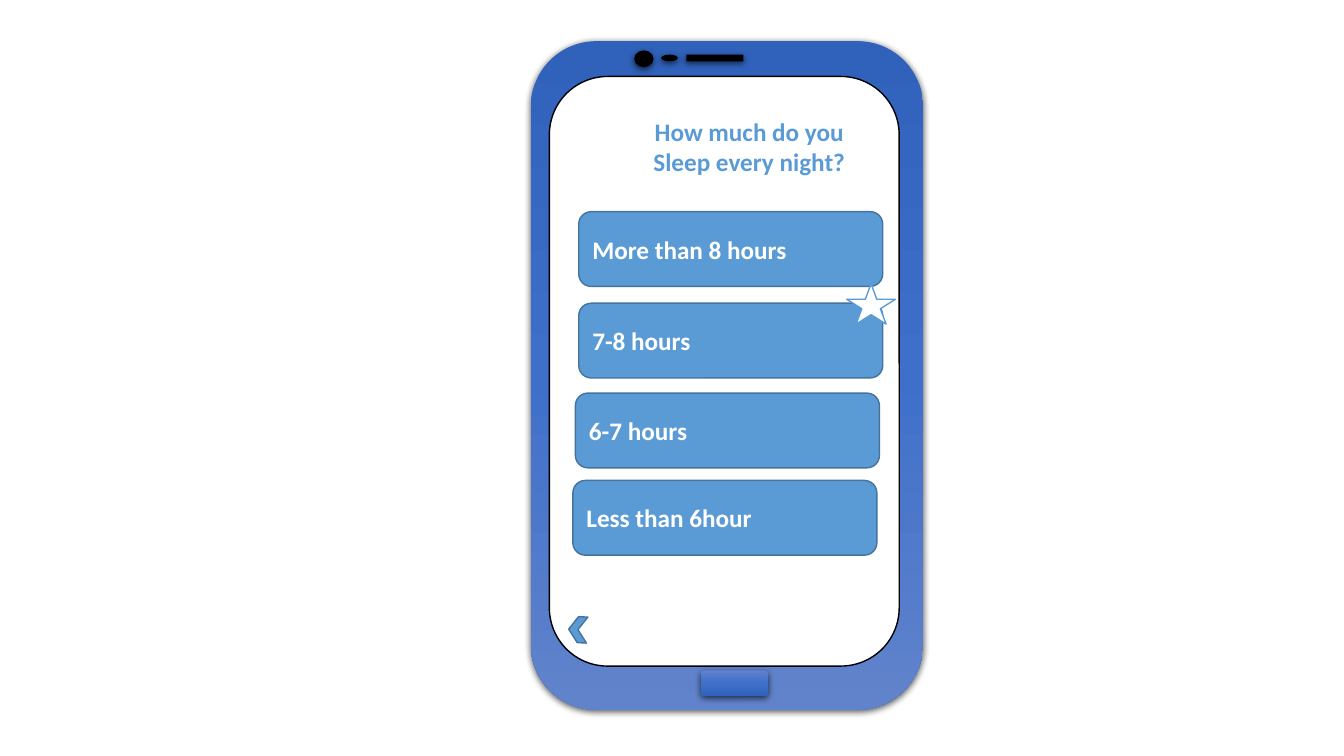
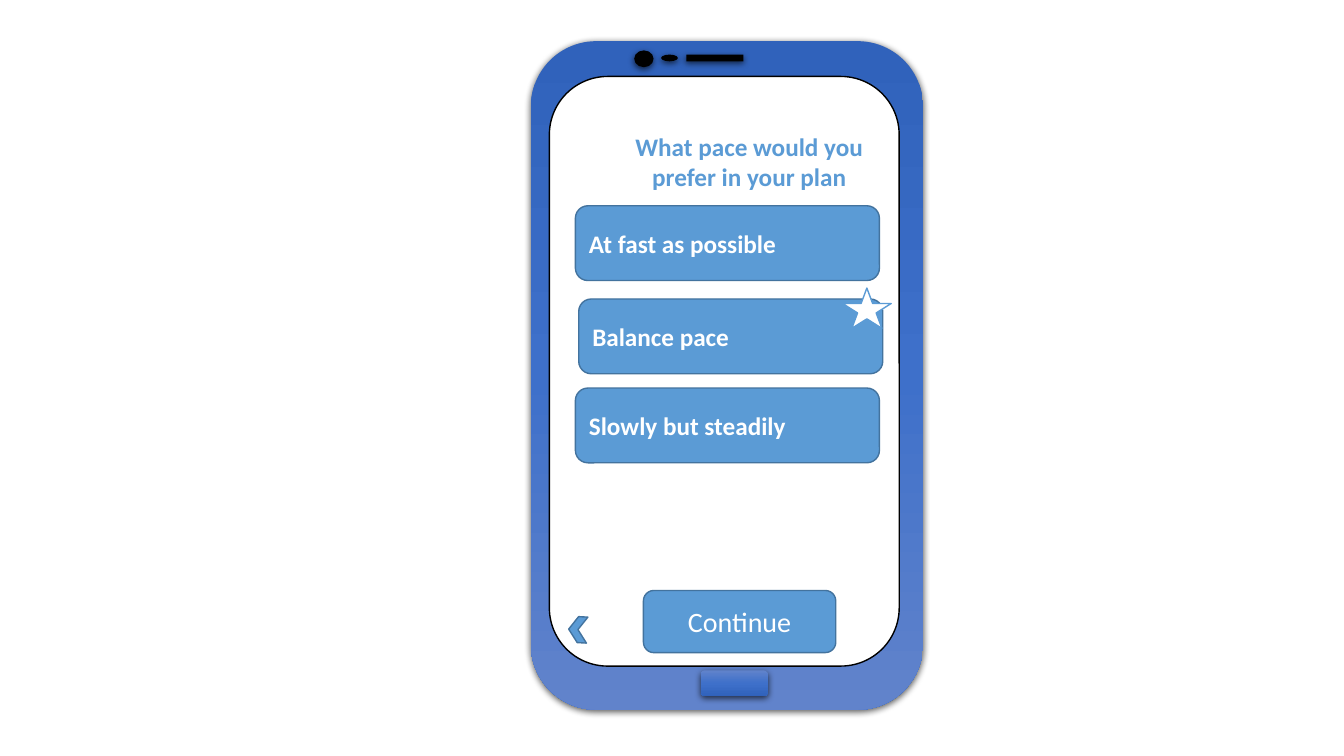
import copy

import pptx
import pptx.dml.color
import pptx.enum.shapes
import pptx.enum.text
import pptx.oxml
import pptx.oxml.ns
import pptx.util

SHAPE = pptx.enum.shapes.MSO_SHAPE
ALIGN = pptx.enum.text.PP_ALIGN
COLORS = {
    "blue": "5B9BD5",
    "edge": "43739E",
    "white": "FFFFFF",
    "black": "000000",
    "case_light": "6183CB",
    "case_mid": "3E70CA",
    "case_dark": "3062BB",
}
CASE = ("case_light", "case_mid", "case_dark")
COLUMNS, ROWS = 160, 90
TITLE_ONLY = 5
OPTION_SIZE = (36.2, 8.9)
STAR_SIZE = (5.8, 4.8)
TITLE_HEIGHT = 8
FRAME_FORMAT = {
    "word_wrap": True,
    "auto_size": pptx.enum.text.MSO_AUTO_SIZE.NONE,
    "vertical_anchor": pptx.enum.text.MSO_ANCHOR.MIDDLE,
}
NO_MARGINS = dict.fromkeys(
    ("margin_left", "margin_right", "margin_top", "margin_bottom"), 0)
SHADOW = (
    f'<a:outerShdw {pptx.oxml.ns.nsdecls("a")} blurRad="57150" dist="19050" '
    'dir="5400000" algn="ctr" rotWithShape="0">'
    f'<a:srgbClr val="{COLORS["black"]}"><a:alpha val="63000"/></a:srgbClr>'
    '</a:outerShdw>')

QUESTIONS = [
    {
        "title": "How much do you Sleep every night?",
        "title_middle": 17.4,
        "options": [
            ("More than 8 hours", 68.9, 25.2),
            ("7-8 hours", 68.9, 36.1),
            ("6-7 hours", 68.5, 46.8),
            ("Less than 6hour", 68.2, 57.2),
        ],
        "star": (100.8, 33.8),
        "button": None,
    },
    {
        "title": "What pace would you prefer in your plan",
        "title_middle": 19.2,
        "options": [
            ("At fast as possible", 68.5, 24.5),
            ("Balance pace", 68.9, 35.6),
            ("Slowly but steadily", 68.5, 46.2),
        ],
        "star": (100.3, 34.3),
        "button": "Continue",
    },
]


def rgb(name):
    return pptx.dml.color.RGBColor.from_string(COLORS[name])


class PhoneDeck:
    """Draws phone screens; places are (column, row, columns, rows)."""

    def __init__(self):
        self.deck = pptx.Presentation()
        self.deck.slide_width = pptx.util.Inches(13.33)
        self.deck.slide_height = pptx.util.Inches(7.5)
        self.slide = None

    def new_slide(self):
        layout = self.deck.slide_layouts[TITLE_ONLY]
        self.slide = self.deck.slides.add_slide(layout)

    def lengths(self, place):
        column = self.deck.slide_width / COLUMNS
        row = self.deck.slide_height / ROWS
        return [round(value * unit)
                for value, unit in zip(place, (column, row, column, row))]

    def shape(self, kind, place, fill, line=None, shadow=False):
        """Add a shape; a tuple of colours as fill makes a vertical gradient."""
        item = self.slide.shapes.add_shape(kind, *self.lengths(place))
        item.shadow.inherit = False
        if isinstance(fill, tuple):
            self.gradient(item.fill, fill)
        else:
            item.fill.solid()
            item.fill.fore_color.rgb = rgb(fill)
        if line:
            item.line.color.rgb = rgb(line)
            item.line.width = pptx.util.Pt(1)
        else:
            item.line.fill.background()
        if shadow:
            effects = item.element.spPr.find(pptx.oxml.ns.qn("a:effectLst"))
            effects.append(pptx.oxml.parse_xml(SHADOW))
        return item

    def gradient(self, fill, names):
        fill.gradient()
        fill.gradient_angle = 270
        first = fill.gradient_stops[0]._gs
        for _ in names[2:]:
            first.addnext(copy.deepcopy(first))
        for index, (stop, name) in enumerate(zip(fill.gradient_stops, names)):
            stop.position = index / (len(names) - 1)
            stop.color.rgb = rgb(name)

    def text(self, item, words, color, size=18, bold=True, align=ALIGN.CENTER, **frame_format):
        frame = item.text_frame
        for key, value in {**FRAME_FORMAT, **frame_format}.items():
            setattr(frame, key, value)
        frame.text = words
        paragraph = frame.paragraphs[0]
        paragraph.alignment = align
        font_format = {"name": "Calibri", "size": pptx.util.Pt(size), "bold": bold}
        for key, value in font_format.items():
            setattr(paragraph.runs[0].font, key, value)
        paragraph.runs[0].font.color.rgb = rgb(color)

    def phone(self):
        self.shape(SHAPE.ROUNDED_RECTANGLE, (63.2, 4.9, 46.7, 79.6), CASE[::-1], shadow=True)
        self.shape(SHAPE.ROUNDED_RECTANGLE, (65.4, 9.1, 41.65, 70.2), "white", "black")
        self.shape(SHAPE.ROUNDED_RECTANGLE, (83.4, 79.8, 8, 3.1), CASE, shadow=True)
        for kind, place in (
            (SHAPE.RECTANGLE, (81.7, 6.5, 6.8, 0.8)),
            (SHAPE.OVAL, (78.7, 6.5, 2, 0.8)),
            (SHAPE.OVAL, (75.5, 6, 2.3, 2)),
        ):
            self.shape(kind, place, "black", shadow=True)

    def title(self, words, middle):
        """Move the title in front of the phone, centred on the given row."""
        heading = self.slide.shapes.title
        place = (74.6, middle - TITLE_HEIGHT / 2, 29.2, TITLE_HEIGHT)
        for key, value in zip(("left", "top", "width", "height"), self.lengths(place)):
            setattr(heading, key, value)
        heading.element.getparent().append(heading.element)
        self.text(heading, words, "blue", **NO_MARGINS)

    def button(self, words, place, **text_format):
        item = self.shape(SHAPE.ROUNDED_RECTANGLE, place, "blue", "edge")
        self.text(item, words, "white", **text_format)

    def option(self, words, column, row):
        self.button(words, (column, row, *OPTION_SIZE), align=ALIGN.LEFT)

    def star(self, column, row):
        self.shape(SHAPE.STAR_5_POINT, (column, row, *STAR_SIZE), "white", "blue")

    def back_arrow(self):
        arrow = self.shape(SHAPE.CHEVRON, (67.7, 73.4, 2.2, 3.1), "blue", "edge")
        arrow.rotation = 183.2


def main():
    screens = PhoneDeck()
    for question in QUESTIONS:
        screens.new_slide()
        screens.phone()
        screens.title(question["title"], question["title_middle"])
        for option in question["options"]:
            screens.option(*option)
        screens.star(*question["star"])
        if question["button"]:
            screens.button(question["button"], (76.6, 70.3, 22.9, 7.4), size=20, bold=False)
        screens.back_arrow()
    screens.deck.save("out.pptx")


if __name__ == "__main__":
    main()
